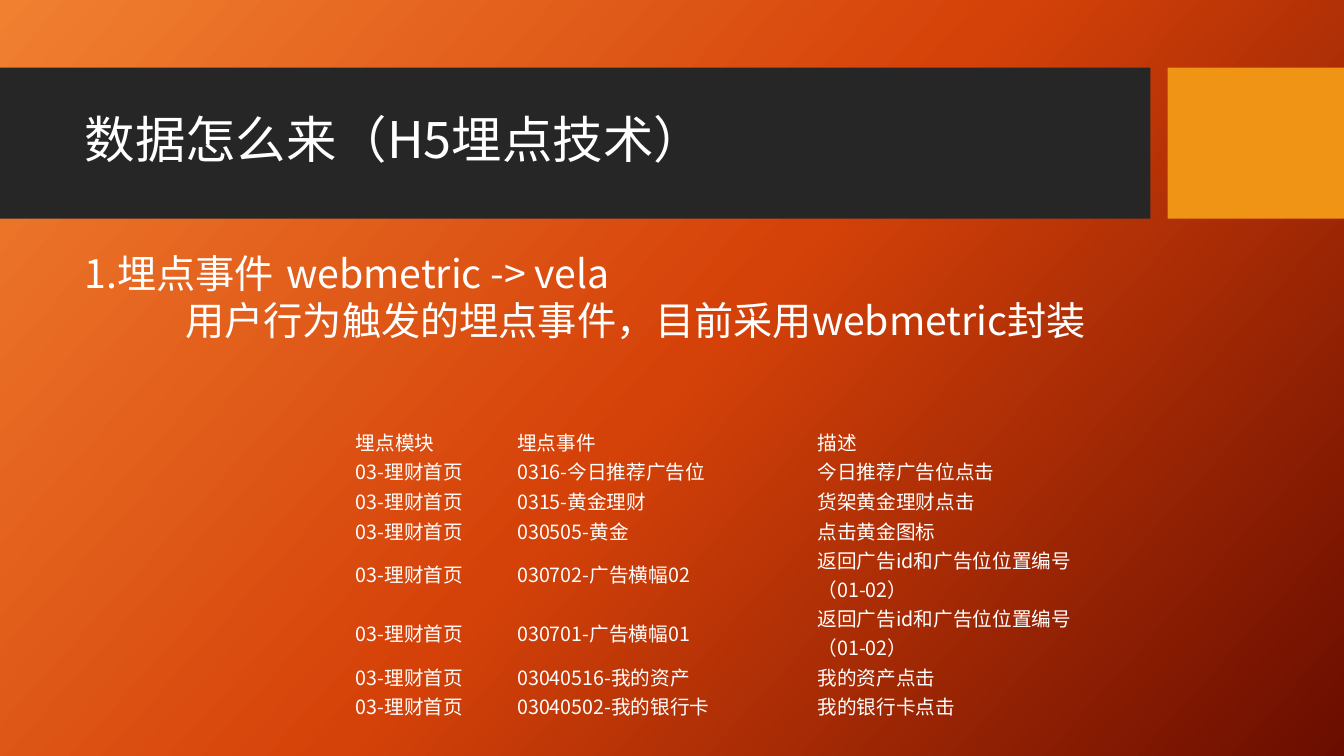
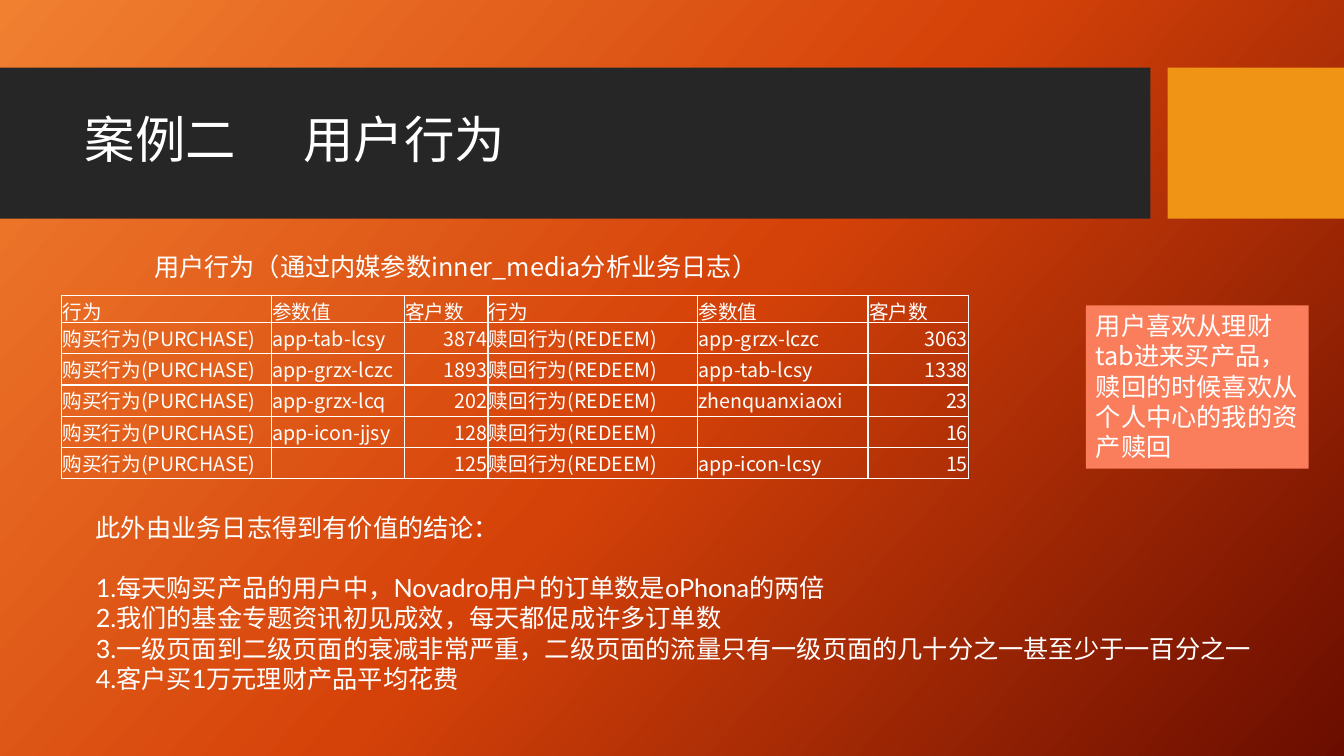
import copy

import pptx
import pptx.dml.color
import pptx.enum.shapes
import pptx.enum.text
import pptx.oxml.ns
import pptx.oxml.xmlchemy
import pptx.util
from lxml import etree

RGBColor = pptx.dml.color.RGBColor
Inches = pptx.util.Inches
Pt = pptx.util.Pt
qn = pptx.oxml.ns.qn
MSO_ANCHOR = pptx.enum.text.MSO_ANCHOR
PP_ALIGN = pptx.enum.text.PP_ALIGN
RECTANGLE = pptx.enum.shapes.MSO_SHAPE.RECTANGLE

WHITE = RGBColor(0xFF, 0xFF, 0xFF)
CHARCOAL = RGBColor(0x26, 0x26, 0x26)
AMBER = RGBColor(0xF0, 0x94, 0x15)
CORAL = RGBColor(0xFA, 0x7E, 0x5C)
BACKGROUND = [
    (0, RGBColor(0xF1, 0x80, 0x31)),
    (0.5, RGBColor(0xD5, 0x42, 0x09)),
    (1, RGBColor(0x6A, 0x0D, 0x00)),
]
FONT = "Noto Sans CJK SC"
LIST_FONT = "Lato"
PLAIN_TABLE = "{2D5ABB26-0587-4C30-8999-92F81FD0307C}"

SLIDE_WIDTH, SLIDE_HEIGHT = 13.33, 7.5
BAND_TOP, BAND_HEIGHT = 0.67, 1.5
BANDS = [(0, 11.41, CHARCOAL), (11.58, 1.75, AMBER)]
TITLE_AREA = (0.74, 0.82, 10.51, 1.18)

EVENT_TITLE = "数据怎么来（H5埋点技术）"
EVENT_INTRO = [
    "1.埋点事件\twebmetric -> vela",
    "用户行为触发的埋点事件，目前采用webmetric封装",
]
EVENT_MODULE = "03-理财首页"
BANNER_NOTE = "返回广告id和广告位位置编号（01-02）"
EVENTS = [
    ("0316-今日推荐广告位", "今日推荐广告位点击"),
    ("0315-黄金理财", "货架黄金理财点击"),
    ("030505-黄金", "点击黄金图标"),
    ("030702-广告横幅02", BANNER_NOTE),
    ("030701-广告横幅01", BANNER_NOTE),
    ("03040516-我的资产", "我的资产点击"),
    ("03040502-我的银行卡", "我的银行卡点击"),
]

CASE_TITLE = "案例二\t用户行为"
CASE_CAPTION = "用户行为（通过内媒参数inner_media分析业务日志）"
CASE_HEADER = ("行为", "参数值", "客户数")
PURCHASES = [
    ("app-tab-lcsy", "3874"),
    ("app-grzx-lczc", "1893"),
    ("app-grzx-lcq", "202"),
    ("app-icon-jjsy", "128"),
    ("", "125"),
]
REDEMPTIONS = [
    ("app-grzx-lczc", "3063"),
    ("app-tab-lcsy", "1338"),
    ("zhenquanxiaoxi", "23"),
    ("", "16"),
    ("app-icon-lcsy", "15"),
]
CASE_NOTE = "用户喜欢从理财tab进来买产品，赎回的时候喜欢从个人中心的我的资产赎回"
CONCLUSIONS = [
    "此外由业务日志得到有价值的结论：",
    "1.每天购买产品的用户中，Novadro用户的订单数是oPhona的两倍",
    "2.我们的基金专题资讯初见成效，每天都促成许多订单数",
    "3.一级页面到二级页面的衰减非常严重，二级页面的流量只有一级页面的几十分之一甚至少于一百分之一",
    "4.客户买1万元理财产品平均花费",
]


def place(shape, area):
    shape.left, shape.top, shape.width, shape.height = map(Inches, area)


def style_text(frame, size, font=FONT):
    for para in frame.paragraphs:
        for span in para.runs:
            span.font.size = Pt(size)
            span.font.name = font
            span.font.color.rgb = WHITE
            east_asian = etree.SubElement(span.font._element, qn("a:ea"))
            east_asian.set("typeface", FONT)
        if not para.runs:
            end = etree.SubElement(para._p, qn("a:endParaRPr"))
            end.set("sz", str(size * 100))


def add_tab_stop(para, position):
    tabs = etree.SubElement(para._p.get_or_add_pPr(), qn("a:tabLst"))
    etree.SubElement(tabs, qn("a:tab"), pos=str(Inches(position)), algn="l")


def add_block(slide, area, fill):
    block = slide.shapes.add_shape(RECTANGLE, *map(Inches, area))
    block.shadow.inherit = False
    block.fill.solid()
    block.fill.fore_color.rgb = fill
    block.line.fill.background()
    return block


def set_up_layout(deck):
    """Give the title-and-content layout its background and title position."""
    layout = deck.slide_layouts[1]
    for holder in list(layout.placeholders):
        if holder.placeholder_format.idx > 1:
            holder.element.getparent().remove(holder.element)
    place(layout.placeholders[0], TITLE_AREA)
    fill = layout.background.fill
    fill.gradient()
    fill.gradient_angle = 360 - 42
    stop_list = next(layout.element.iter(qn("a:gsLst")))
    stop_list.append(copy.deepcopy(stop_list[0]))
    for stop, (position, color) in zip(fill.gradient_stops, BACKGROUND):
        stop.position = position
        stop.color.rgb = color
    return layout


def move_bands_to_layout(slide, layout):
    """Draw the title bands and store them behind the layout's placeholders."""
    tree = layout.shapes.element
    for index, (left, width, color) in enumerate(BANDS):
        band = add_block(slide, (left, BAND_TOP, width, BAND_HEIGHT), color)
        tree.insert(2 + index, band.element)


def set_title(slide, text):
    frame = slide.shapes.title.text_frame
    frame.text = text
    frame.auto_size = pptx.enum.text.MSO_AUTO_SIZE.NONE
    frame.vertical_anchor = MSO_ANCHOR.MIDDLE
    para = frame.paragraphs[0]
    para.alignment = PP_ALIGN.LEFT
    para.line_spacing = 0.9
    style_text(frame, 36)
    return para


def fill_body(slide, area, lines, size, font=FONT):
    body = slide.placeholders[1]
    place(body, area)
    frame = body.text_frame
    frame.text = "\n".join(lines)
    frame.auto_size = pptx.enum.text.MSO_AUTO_SIZE.NONE
    frame.word_wrap = True
    for para in frame.paragraphs:
        para.space_before = Pt(0)
        properties = para._p.get_or_add_pPr()
        properties.set("marL", "0")
        properties.set("indent", "0")
        etree.SubElement(properties, qn("a:buNone"))
    style_text(frame, size, font)
    return frame.paragraphs


def add_borders(cell):
    properties = cell._tc.get_or_add_tcPr()
    for index, side in enumerate(("lnL", "lnR", "lnT", "lnB")):
        line = etree.Element(qn("a:" + side), w=str(Pt(1)))
        solid = etree.SubElement(line, qn("a:solidFill"))
        etree.SubElement(solid, qn("a:srgbClr"), val=str(WHITE))
        properties.insert(index, line)


def add_grid(slide, left, top, widths, heights, rows, bordered=False):
    """Add a transparent table and return its cells, row by row."""
    frame = slide.shapes.add_table(
        len(rows), len(widths), Inches(left), Inches(top),
        Inches(sum(widths)), Inches(sum(heights)))
    table = frame.table
    table.first_row = table.horz_banding = False
    next(frame.element.iter(qn("a:tableStyleId"))).text = PLAIN_TABLE
    for column, width in zip(table.columns, widths):
        column.width = Inches(width)
    for row, height, texts in zip(table.rows, heights, rows):
        row.height = Inches(height)
        for cell, text in zip(row.cells, texts):
            cell.text = text
            cell.fill.background()
            cell.margin_left = cell.margin_right = cell.margin_top = Inches(0.01)
            cell.margin_bottom = 0
            style_text(cell.text_frame, 14)
            if bordered:
                add_borders(cell)
    return [list(row.cells) for row in table.rows]


def build_event_slide(slide):
    set_title(slide, EVENT_TITLE)
    heading, detail = fill_body(slide, (0.74, 2.42, 10.25, 1.51), EVENT_INTRO, 28)
    add_tab_stop(heading, 2.5)
    detail._p.get_or_add_pPr().set("indent", str(Inches(1)))

    rows = [("埋点模块", "埋点事件", "描述")]
    rows += [(EVENT_MODULE, *event) for event in EVENTS]
    heights = [0.49 if row[2] == BANNER_NOTE else 0.26 for row in rows]
    for cells in add_grid(slide, 3.52, 4.23, (1.6, 2.98, 2.8), heights, rows):
        for cell in cells:
            cell.vertical_anchor = MSO_ANCHOR.MIDDLE


def build_case_slide(slide):
    add_tab_stop(set_title(slide, CASE_TITLE), 2.17)

    caption = slide.shapes.add_textbox(*map(Inches, (1.43, 2.44, 9.82, 0.71)))
    caption.text_frame.word_wrap = True
    caption.text_frame.text = CASE_CAPTION
    style_text(caption.text_frame, 18)

    rows = [CASE_HEADER * 2]
    rows += [("购买行为(PURCHASE)", *purchase, "赎回行为(REDEEM)", *redemption)
             for purchase, redemption in zip(PURCHASES, REDEMPTIONS)]
    heights = [0.27] + [0.31] * len(PURCHASES)
    widths = (2.08, 1.32, 0.83, 2.08, 1.69, 1)
    header, *records = add_grid(slide, 0.61, 2.93, widths, heights, rows, True)
    for cell in header:
        cell.vertical_anchor = MSO_ANCHOR.BOTTOM
    for cells in records:
        for count in cells[2::3]:
            count.text_frame.paragraphs[0].alignment = PP_ALIGN.RIGHT

    note = add_block(slide, (10.77, 3.03, 2.21, 1.62), CORAL)
    note.text_frame.word_wrap = True
    note.text_frame.vertical_anchor = MSO_ANCHOR.TOP
    note.text_frame.text = CASE_NOTE
    note.text_frame.paragraphs[0].alignment = PP_ALIGN.LEFT
    style_text(note.text_frame, 18)

    paras = fill_body(slide, (0.85, 5.03, 12, 1.92), CONCLUSIONS, 18, LIST_FONT)
    paras[1].space_before = Pt(21.6)


def main():
    deck = pptx.Presentation()
    deck.slide_width = Inches(SLIDE_WIDTH)
    deck.slide_height = Inches(SLIDE_HEIGHT)
    layout = set_up_layout(deck)
    event_slide, case_slide = (deck.slides.add_slide(layout) for _ in range(2))
    move_bands_to_layout(event_slide, layout)
    build_event_slide(event_slide)
    build_case_slide(case_slide)
    deck.save("out.pptx")


if __name__ == "__main__":
    main()
